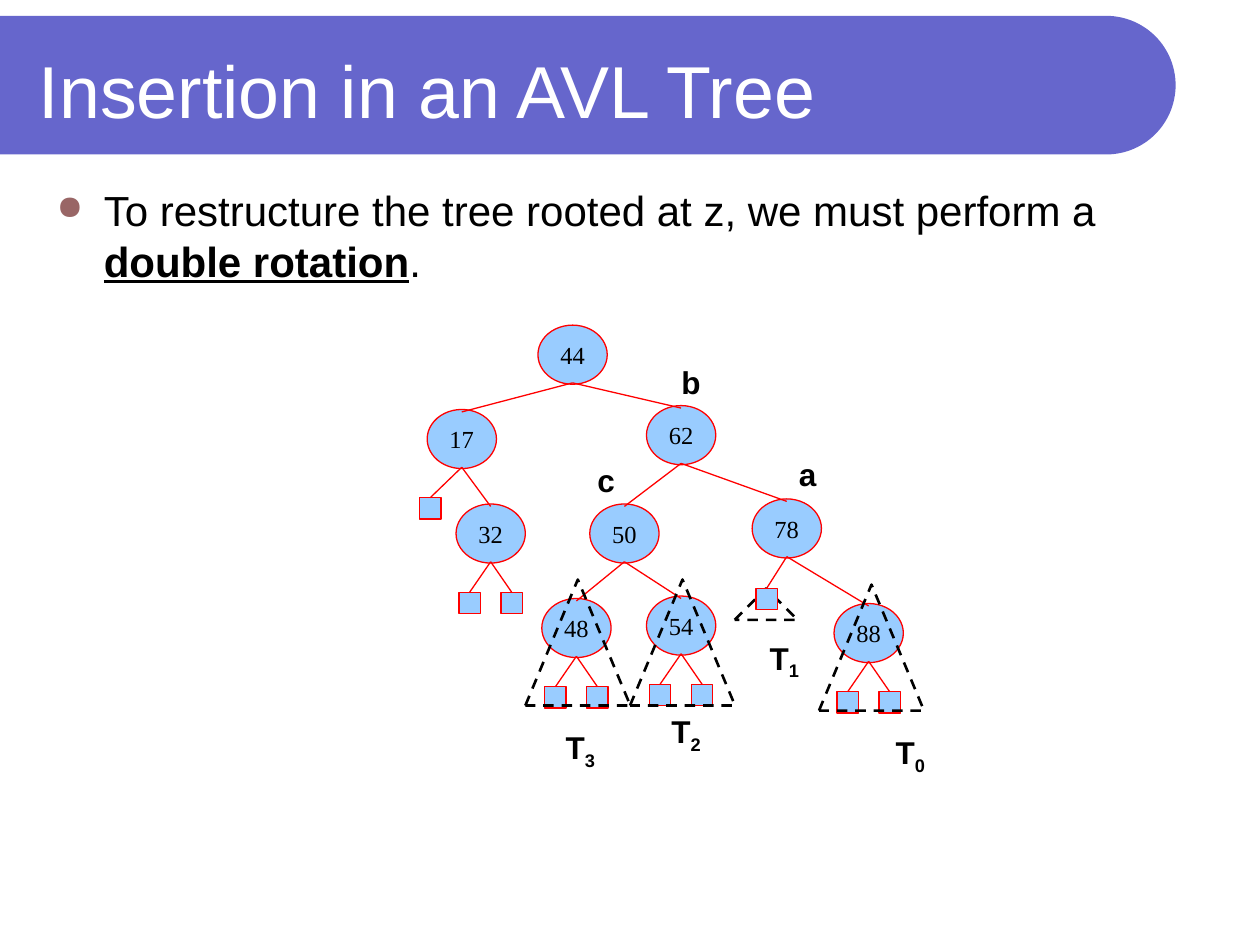
import math

import lxml.etree
import pptx
import pptx.dml.color
import pptx.enum.dml
import pptx.enum.shapes
import pptx.enum.text
import pptx.oxml.ns
import pptx.util

Pt = pptx.util.Pt
SHAPES = pptx.enum.shapes.MSO_SHAPE
ANCHOR = pptx.enum.text.MSO_ANCHOR
ALIGN = pptx.enum.text.PP_ALIGN
qn = pptx.oxml.ns.qn

NODE_W, NODE_H = 39.6, 33.8
LEAF = 12.2
LEAF_SPREAD, LEAF_DROP = 12, 16.6
RED, BLUE, BLACK = "FF0000", "99CCFF", "000000"

# Key: centre x, top
NODES = {
    44: (327.2, 185.8), 17: (263.9, 234), 62: (389.2, 231.8),
    78: (449.6, 285.1), 32: (280.4, 288), 50: (356.8, 288),
    88: (496.4, 344.9), 48: (329.4, 342), 54: (389.2, 340.6),
}
BRANCHES = [(44, 17), (44, 62), (17, 32), (62, 50), (62, 78),
            (50, 48), (50, 54), (78, 88)]
LEAF_PARENTS = [32, 48, 54, 88]
LEFT_LEAF_17 = (245.9, 284.4)
LEFT_LEAF_78 = (438.1, 336.2)
SUBTREES = [(300.2, 331.2, 60, 72), (360, 331.2, 60, 72),
            (468, 334.1, 60, 72), (419.8, 336.2, 36, 18)]
ROLE_LABELS = [("a", 449.3, 256.3), ("b", 382.3, 203.8), ("c", 334.1, 259.9)]
SUBTREE_LABELS = [("3", 316.1, 412.6), ("2", 376.6, 403.2),
                  ("1", 432.7, 361.4), ("0", 504.7, 415.4)]


def rgb(value):
    return pptx.dml.color.RGBColor.from_string(value)


def paint(shape, fill=None, line=None, width=0.75):
    shape.shadow.inherit = False
    if fill:
        shape.fill.solid()
        shape.fill.fore_color.rgb = rgb(fill)
    else:
        shape.fill.background()
    if line:
        shape.line.color.rgb = rgb(line)
        shape.line.width = Pt(width)
    else:
        shape.line.fill.background()


def add_run(paragraph, text, size, color=BLACK, **formats):
    run = paragraph.add_run()
    run.text = text
    formats = {"name": "Arial", "size": Pt(size), **formats}
    for attribute, value in formats.items():
        setattr(run.font, attribute, value)
    run.font.color.rgb = rgb(color)
    return run


def add_text_box(slide, left, top, width, height, **formats):
    """Add an empty text box and return its first paragraph."""
    frame = slide.shapes.add_textbox(
        Pt(left), Pt(top), Pt(width), Pt(height)).text_frame
    for attribute, value in {"word_wrap": True, **formats}.items():
        setattr(frame, attribute, value)
    return frame.paragraphs[0]


def add_banner(slide, top, height, right):
    radius = height / 2
    center_x, center_y = right - radius, top + radius
    angles = [math.radians(a) for a in range(-90, 91, 3)]
    arc = [(center_x + radius * math.cos(a), center_y + radius * math.sin(a))
           for a in angles]
    builder = slide.shapes.build_freeform(0, Pt(top))
    builder.add_line_segments(
        [(Pt(x), Pt(y)) for x, y in arc + [(0, top + height)]], close=True)
    paint(builder.convert_to_shape(), "6666CC")


def add_bullet(paragraph, char, color, percent, indent):
    properties = paragraph._p.get_or_add_pPr()
    properties.set("marL", str(Pt(indent)))
    properties.set("indent", str(-Pt(indent)))
    bullet_color = lxml.etree.SubElement(properties, qn("a:buClr"))
    lxml.etree.SubElement(bullet_color, qn("a:srgbClr"), val=color)
    lxml.etree.SubElement(properties, qn("a:buSzPct"), val=str(percent * 1000))
    lxml.etree.SubElement(properties, qn("a:buChar"), char=char)


def add_node(slide, key, center_x, top):
    node = slide.shapes.add_shape(
        SHAPES.OVAL, Pt(center_x - NODE_W / 2), Pt(top), Pt(NODE_W), Pt(NODE_H))
    paint(node, BLUE, RED)
    node.text_frame.word_wrap = False
    node.text_frame.vertical_anchor = ANCHOR.MIDDLE
    paragraph = node.text_frame.paragraphs[0]
    paragraph.alignment = ALIGN.CENTER
    add_run(paragraph, str(key), 14, name="Times New Roman")


def add_branch(slide, parent, end_x, end_y):
    """Draw a line from the bottom of a parent node to a point."""
    start_x, top = NODES[parent]
    branch = slide.shapes.add_connector(
        pptx.enum.shapes.MSO_CONNECTOR.STRAIGHT,
        Pt(start_x), Pt(top + NODE_H - 0.8), Pt(end_x), Pt(end_y))
    branch.line.color.rgb = rgb(RED)
    branch.line.width = Pt(0.75)
    lxml.etree.SubElement(branch._element.spPr, qn("a:effectLst"))


def add_leaf(slide, parent, center_x, top):
    leaf = slide.shapes.add_shape(
        SHAPES.RECTANGLE, Pt(center_x - LEAF / 2), Pt(top), Pt(LEAF), Pt(LEAF))
    paint(leaf, BLUE, RED)
    add_branch(slide, parent, center_x, top)


def add_subtree(slide, *box):
    outline = slide.shapes.add_shape(
        SHAPES.ISOSCELES_TRIANGLE, *(Pt(value) for value in box))
    paint(outline, line=BLACK, width=1.5)
    outline.line.dash_style = pptx.enum.dml.MSO_LINE.DASH


def add_label(slide, text, left, top, width, subscript="", wrap=True):
    paragraph = add_text_box(slide, left, top, width, 30, word_wrap=wrap)
    paragraph.alignment = ALIGN.CENTER
    add_run(paragraph, text, 18, bold=True)
    if subscript:
        run = add_run(paragraph, subscript, 18, bold=True)
        run.font._element.set("baseline", "-25000")


def add_heading(slide):
    add_banner(slide, 9.1, 79.2, 671.8)
    title = add_text_box(slide, 15.1, 15.1, 631.4, 72,
                         vertical_anchor=ANCHOR.MIDDLE)
    add_run(title, "Insertion in an AVL Tree", 42, "FFFFFF")


def add_statement(slide):
    statement = add_text_box(slide, 25.2, 102, 668.9, 412)
    add_bullet(statement, "●", "996666", 80, 27)
    add_run(statement,
            "To restructure the tree rooted at z, we must perform a ", 24)
    add_run(statement, "double rotation", 24, bold=True, underline=True)
    add_run(statement, ".", 24)


def add_tree(slide):
    for key, place in NODES.items():
        add_node(slide, key, *place)
    for parent, child in BRANCHES:
        child_x, child_top = NODES[child]
        add_branch(slide, parent, child_x, child_top + 1.4)
    add_leaf(slide, 17, *LEFT_LEAF_17)
    for parent in LEAF_PARENTS:
        center_x, top = NODES[parent]
        for side in (-1, 1):
            add_leaf(slide, parent, center_x + side * LEAF_SPREAD,
                     top + NODE_H + LEAF_DROP)
    for box in SUBTREES:
        add_subtree(slide, *box)
    add_leaf(slide, 78, *LEFT_LEAF_78)


def main():
    deck = pptx.Presentation()
    deck.slide_width, deck.slide_height = Pt(720), Pt(540)
    slide = deck.slides.add_slide(deck.slide_layouts[6])
    add_heading(slide)
    add_statement(slide)
    add_tree(slide)
    for text, left, top in ROLE_LABELS:
        add_label(slide, text, left, top, 24.5)
    for index, left, top in SUBTREE_LABELS:
        add_label(slide, "T", left, top, 31, subscript=index, wrap=False)
    deck.save("out.pptx")


if __name__ == "__main__":
    main()
